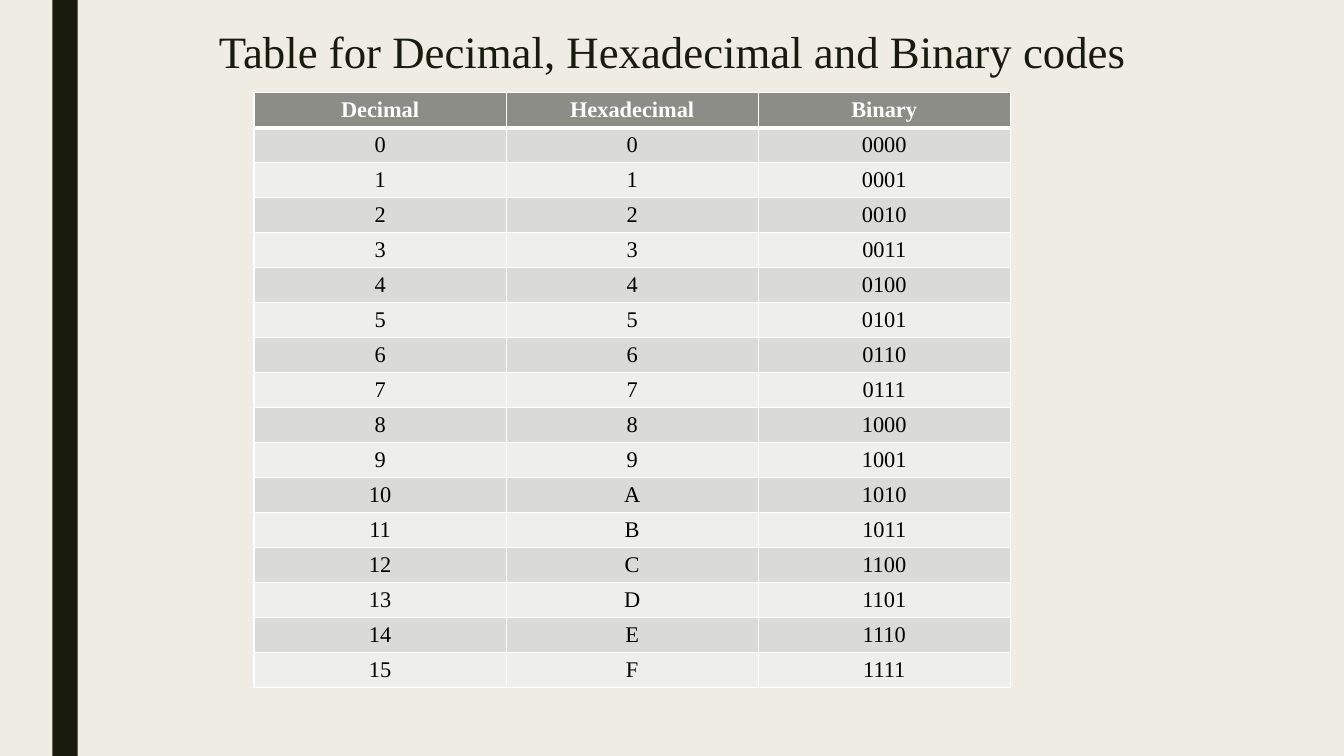
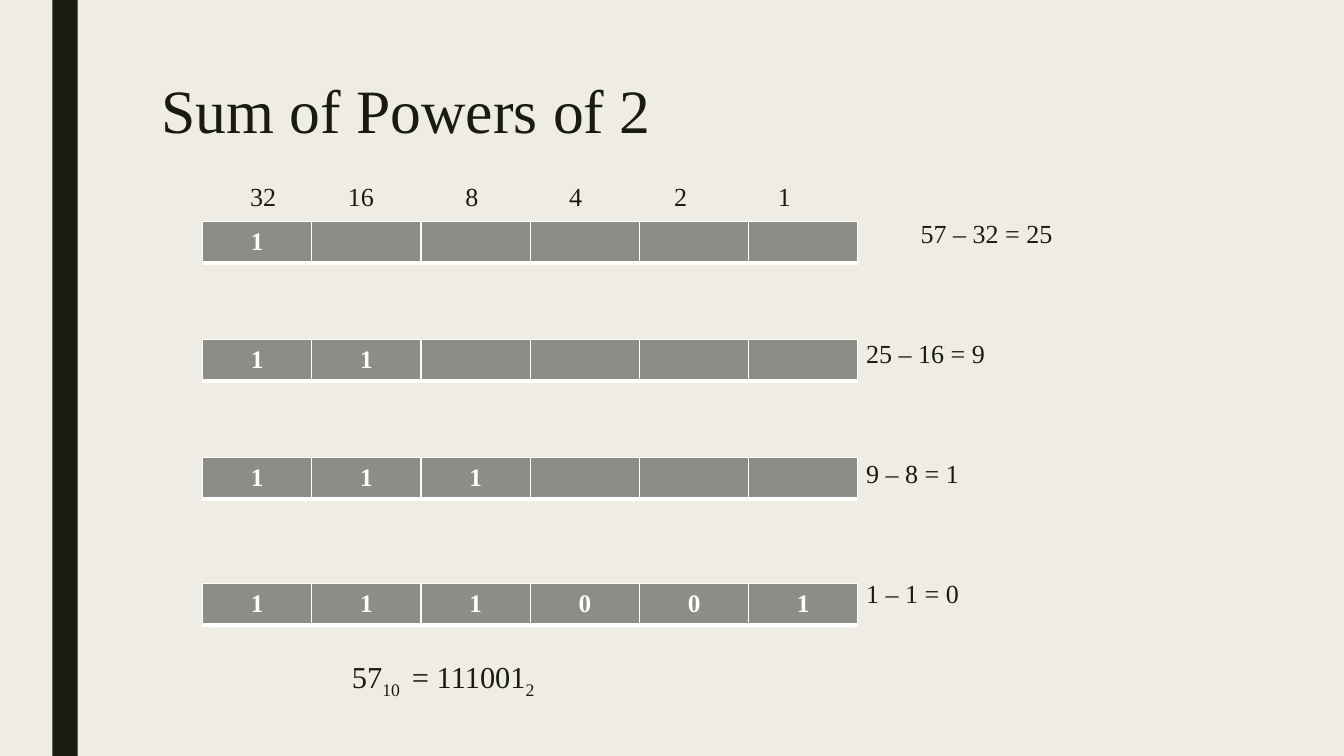
from lxml.etree import SubElement
from pptx import Presentation
from pptx.dml.color import RGBColor
from pptx.enum.shapes import MSO_SHAPE
from pptx.enum.text import MSO_ANCHOR, MSO_AUTO_SIZE, PP_ALIGN
from pptx.oxml.ns import qn
from pptx.util import Inches, Pt

COLORS = {
    "background": "EFEDE3",
    "ink": "191B0E",
    "header": "8C8D86",
    "band_dark": "DADBD9",
    "band_light": "EEEEED",
    "white": "FFFFFF",
    "black": "000000",
}
FONT = "Times New Roman"
TITLE_AND_BODY, TITLE_ONLY = 1, 5
LINE_HEIGHT = 20
EQUATION_SIZE = 18.6
RESULT_SIZE = 21.7
BAND_ID = 20


def rgb(name):
    """Return the palette colour called name."""
    return RGBColor.from_string(COLORS[name])


def style_run(r, size, color="ink", bold=False):
    """Give a run the deck font with a size, colour and weight."""
    r.font.name = FONT
    r.font.size = Pt(size)
    r.font.bold = bold
    r.font.color.rgb = rgb(color)


def place(sp, left, top, width, height):
    """Move and size a shape, in inches."""
    sp.left, sp.top = Inches(left), Inches(top)
    sp.width, sp.height = Inches(width), Inches(height)


def set_frame(tf, anchor=MSO_ANCHOR.TOP):
    """Make a text frame wrap at a fixed size."""
    tf.word_wrap = True
    tf.auto_size = MSO_AUTO_SIZE.NONE
    tf.vertical_anchor = anchor


def clear_margins(tf):
    """Remove the inner margins of a text frame."""
    tf.margin_left = tf.margin_right = tf.margin_top = tf.margin_bottom = 0


def style_master(prs, s):
    """Set the shared background and move the side band to the master."""
    fill = prs.slide_master.background.fill
    fill.solid()
    fill.fore_color.rgb = rgb("background")
    band = s.shapes.add_shape(MSO_SHAPE.RECTANGLE, Inches(0.52), 0,
                              Inches(0.25), prs.slide_height)
    band.shadow.inherit = False
    band.fill.solid()
    band.fill.fore_color.rgb = rgb("ink")
    band.line.fill.background()
    band.element.nvSpPr.cNvPr.set("id", str(BAND_ID))
    prs.slide_master.element.cSld.spTree.insert(2, band.element)


def set_title(s, text, box, size):
    """Fill and place the title placeholder."""
    sp = s.shapes.title
    place(sp, *box)
    tf = sp.text_frame
    tf.text = text
    set_frame(tf)
    p = tf.paragraphs[0]
    p.alignment = PP_ALIGN.LEFT
    p.line_spacing = 0.89
    style_run(p.runs[0], size)


def set_borders(cell, widths):
    """Draw white cell borders; widths maps a side letter to points."""
    tc_pr = cell._tc.get_or_add_tcPr()
    for side, width in widths.items():
        ln = SubElement(tc_pr, qn(f"a:ln{side}"), w=str(Pt(width)))
        fill = SubElement(ln, qn("a:solidFill"))
        SubElement(fill, qn("a:srgbClr"), val=COLORS["white"])


def fill_cell(cell, text, size, row):
    """Write, colour and border one cell, as a header when row is 0."""
    is_header = row == 0
    if is_header:
        fill, color = "header", "white"
        widths = {"L": 1, "R": 1, "T": 1, "B": 3}
    else:
        fill, color = "band_dark" if row % 2 else "band_light", "black"
        widths = {"L": 1, "R": 1, "B": 1}
    set_borders(cell, widths)
    cell.fill.solid()
    cell.fill.fore_color.rgb = rgb(fill)
    cell.vertical_anchor = MSO_ANCHOR.MIDDLE
    cell.margin_top = cell.margin_bottom = Inches(0.04)
    if not text:
        return
    cell.text = text
    p = cell.text_frame.paragraphs[0]
    p.alignment = PP_ALIGN.CENTER
    style_run(p.runs[0], size, color, is_header)


def add_grid(s, rows, box, size):
    """Add a table with equal rows and columns, headed by its first row."""
    left, top, width, height = map(Inches, box)
    table = s.shapes.add_table(len(rows), len(rows[0]),
                               left, top, width, height).table
    for i, row in enumerate(rows):
        for j, text in enumerate(row):
            fill_cell(table.cell(i, j), text, size, i)


def add_place_value(s, text, center):
    """Add one place value, centred on a position in inches."""
    width = 0.5
    sp = s.shapes.add_textbox(Inches(center - width / 2), Inches(1.8),
                              Inches(width), Inches(0.3))
    tf = sp.text_frame
    tf.text = text
    set_frame(tf, MSO_ANCHOR.MIDDLE)
    clear_margins(tf)
    p = tf.paragraphs[0]
    p.alignment = PP_ALIGN.CENTER
    style_run(p.runs[0], EQUATION_SIZE)


def format_line(p, indent, before):
    """Set a body line's indent (inches), space before (points), no bullet."""
    p.alignment = PP_ALIGN.LEFT
    p.line_spacing = Pt(LINE_HEIGHT)
    p.space_before, p.space_after = Pt(before), Pt(0)
    p_pr = p._p.get_or_add_pPr()
    p_pr.set("marL", str(Inches(indent)))
    p_pr.set("indent", "0")
    SubElement(p_pr, qn("a:buNone"))


def add_result(p, parts):
    """Write (text, is_subscript) parts as runs."""
    for text, is_subscript in parts:
        r = p.add_run()
        r.text = text
        style_run(r, RESULT_SIZE)
        if is_subscript:
            r.font._element.set("baseline", "-25000")


def set_working(s, equations, result):
    """Fill the body placeholder with the subtractions and the result."""
    sp = s.placeholders[1]
    place(sp, 2.17, 2.19, 9, 4.89)
    tf = sp.text_frame
    set_frame(tf)
    clear_margins(tf)
    for i, equation in enumerate(equations):
        p = tf.add_paragraph() if i else tf.paragraphs[0]
        p.text = equation
        indent, before = (6.42, 65.7) if i else (6.96, 0)
        format_line(p, indent, before)
        style_run(p.runs[0], EQUATION_SIZE)
    p = tf.add_paragraph()
    format_line(p, 1.32, 45)
    add_result(p, result)


def build_code_table(s):
    """Build the slide that lists the codes from 0 to 15."""
    set_title(s, "Table for Decimal, Hexadecimal and Binary codes",
              (2.07, 0.25, 9.43, 0.48), 32)
    rows = [("Decimal", "Hexadecimal", "Binary")]
    rows += [(str(n), f"{n:X}", f"{n:04b}") for n in range(16)]
    add_grid(s, rows, (2.52, 0.92, 7.5, 5.9), 16)


def build_powers(s):
    """Build the slide that converts 57 to binary step by step."""
    set_title(s, "Sum of Powers of 2", (1.5, 0.75, 10.5, 1.62), 44)
    set_working(
        s, ["57 – 32 = 25", "25 – 16 = 9", "9 – 8 = 1", "1 – 1 = 0"],
        [("57", False), ("10 ", True), (" = 111001", False), ("2", True)])
    centers = [2.61, 3.58, 4.68, 5.71, 6.75, 7.78]
    for i, center in enumerate(centers):
        add_place_value(s, str(2 ** (len(centers) - 1 - i)), center)
    steps = [("1", 2.2), ("11", 3.37), ("111", 4.54), ("111001", 5.79)]
    for bits, top in steps:
        cells = list(bits) + [""] * (len(centers) - len(bits))
        add_grid(s, [cells], (2.01, top, 6.5, 0.41), 18)


def main():
    """Build and save the deck."""
    prs = Presentation()
    prs.slide_width, prs.slide_height = Inches(13.33), Inches(7.5)
    codes = prs.slides.add_slide(prs.slide_layouts[TITLE_ONLY])
    powers = prs.slides.add_slide(prs.slide_layouts[TITLE_AND_BODY])
    style_master(prs, codes)
    build_code_table(codes)
    build_powers(powers)
    prs.save("out.pptx")


main()
